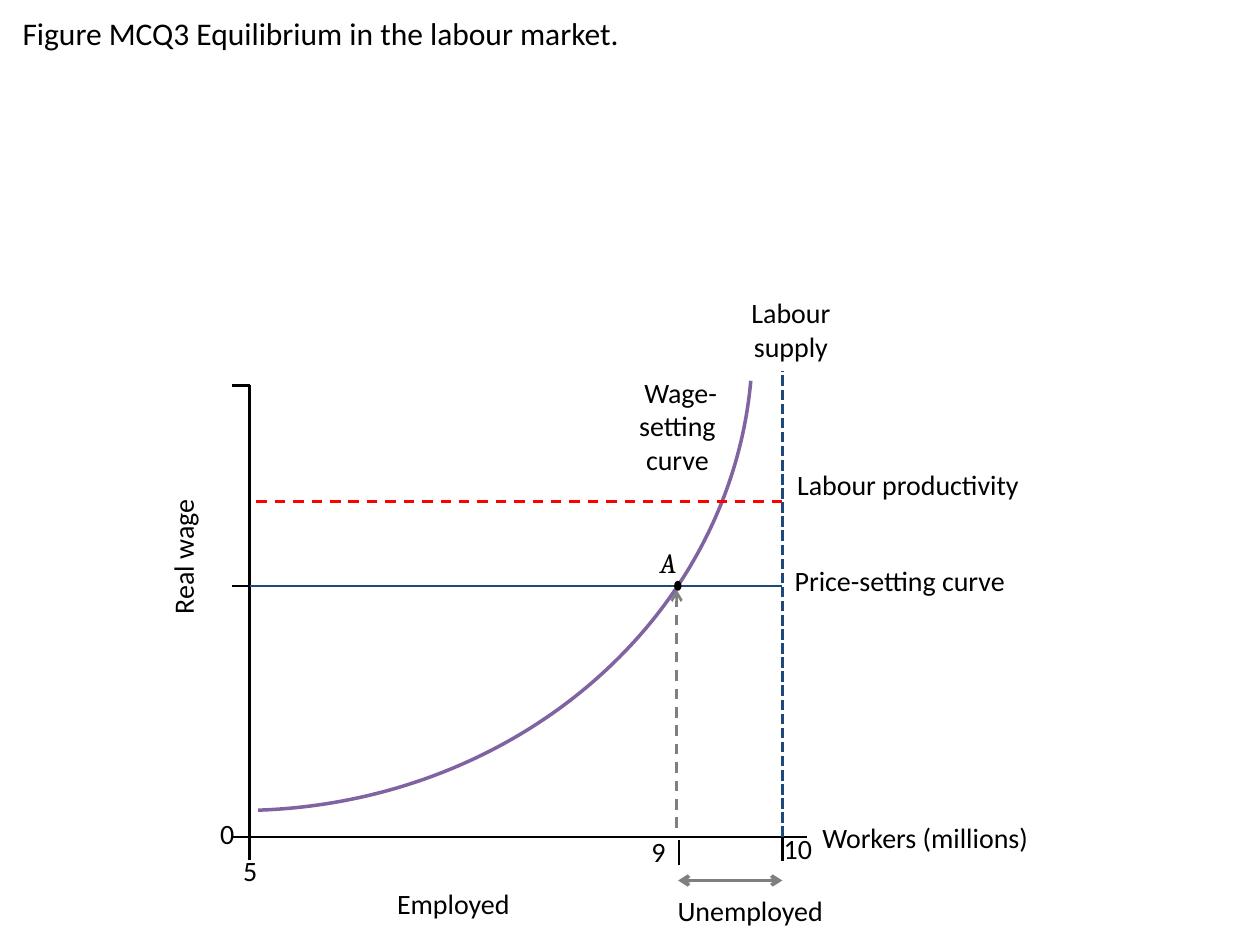
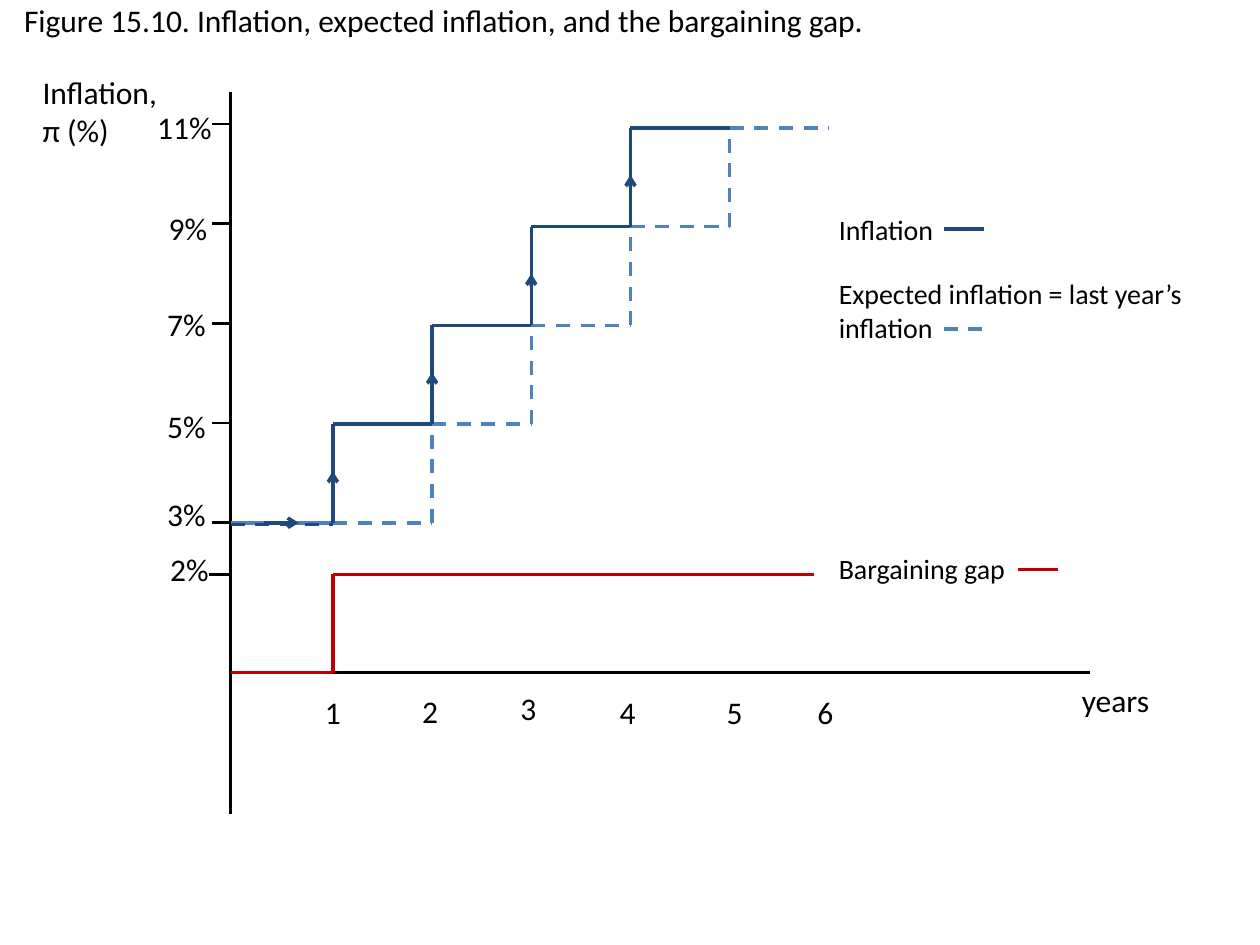
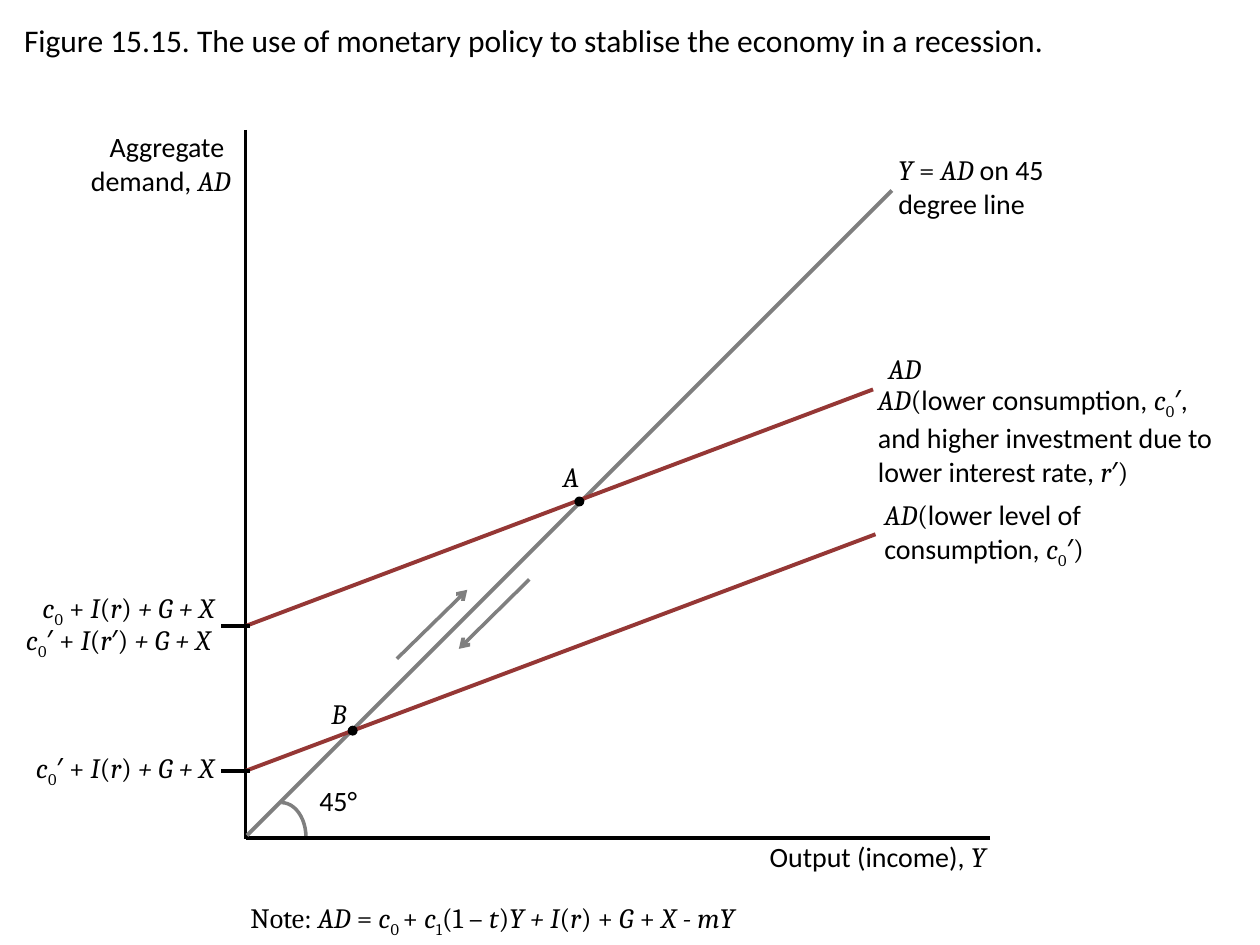
from dataclasses import dataclass

from lxml import etree
from pptx import Presentation
from pptx.dml.color import RGBColor
from pptx.enum.dml import MSO_LINE
from pptx.enum.shapes import MSO_CONNECTOR, MSO_SHAPE
from pptx.enum.text import MSO_ANCHOR, MSO_AUTO_SIZE, PP_ALIGN
from pptx.oxml.ns import qn
from pptx.util import Cm, Pt

LEFT, CENTER, RIGHT = PP_ALIGN.LEFT, PP_ALIGN.CENTER, PP_ALIGN.RIGHT
DASH, SQUARE_DASH = MSO_LINE.DASH, MSO_LINE.SQUARE_DOT
STRAIGHT = MSO_CONNECTOR.STRAIGHT
ARC, OVAL = MSO_SHAPE.ARC, MSO_SHAPE.OVAL
FIT_TEXT, TOP = MSO_AUTO_SIZE.SHAPE_TO_FIT_TEXT, MSO_ANCHOR.TOP
TEXT, UPRIGHT, MATH, SUB = "text", "upright", "math", "sub"


@dataclass(frozen=True)
class Theme:
    black: RGBColor = RGBColor(0x00, 0x00, 0x00)
    navy: RGBColor = RGBColor(0x1F, 0x49, 0x7D)
    blue: RGBColor = RGBColor(0x4F, 0x81, 0xBD)
    purple: RGBColor = RGBColor(0x80, 0x64, 0xA2)
    red: RGBColor = RGBColor(0xFF, 0x00, 0x00)
    crimson: RGBColor = RGBColor(0xC0, 0x00, 0x00)
    maroon: RGBColor = RGBColor(0x95, 0x37, 0x35)
    gray: RGBColor = RGBColor(0x7F, 0x7F, 0x7F)
    sans: str = "Calibri"
    serif: str = "Cambria"
    title: float = 18
    label: float = 16
    thin: float = 1.5
    medium: float = 2
    thick: float = 2.25


theme = Theme()


def write(page, left, top, width, height, paragraphs, align=LEFT, wrap=True, size=theme.label):
    box = page.shapes.add_textbox(Cm(left), Cm(top), Cm(width), Cm(height))
    frame = box.text_frame
    frame.word_wrap = wrap
    frame.auto_size = FIT_TEXT
    for index, spans in enumerate(paragraphs):
        para = frame.add_paragraph() if index else frame.paragraphs[0]
        para.alignment = align
        para.font.size = Pt(size)
        para.font.color.rgb = theme.black
        if isinstance(spans, str):
            spans = [(spans, TEXT)]
        for words, style in spans:
            span = para.add_run()
            span.text = words
            font = para.font if len(spans) == 1 else span.font
            font.name = theme.sans if style == TEXT else theme.serif
            font.italic = style == MATH
            if style == SUB:
                span._r.get_or_add_rPr().set("baseline", "-25000")
    return box


def draw_line(page, x1, y1, x2, y2, color=theme.black, width=theme.thin, dash=None, arrows=()):
    line = page.shapes.add_connector(STRAIGHT, Cm(x1), Cm(y1), Cm(x2), Cm(y2))
    line.line.color.rgb = color
    line.line.width = Pt(width)
    if dash:
        line.line.dash_style = dash
    properties = line._element.spPr
    for end in arrows:
        etree.SubElement(properties.find(qn("a:ln")), qn(f"a:{end}"), type="arrow")
    etree.SubElement(properties, qn("a:effectLst"))


deck = Presentation()
deck.slide_width, deck.slide_height = Cm(25.4), Cm(19.05)

pages = []
for heading, left, top, width in [
    ("Figure MCQ3 Equilibrium in the labour market.", 0.2, 0.15, 18.87),
    ("Figure 15.10. Inflation, expected inflation, and the bargaining gap.", 0.23, -0.1, 25.17),
    ("Figure 15.15. The use of monetary policy to stablise the economy in a recession.", 0.23, 0.3, 25.17),
]:
    page = deck.slides.add_slide(deck.slide_layouts[5])
    title = page.shapes.title
    title.left, title.top, title.width, title.height = Cm(left), Cm(top), Cm(width), Cm(1.02)
    title.text_frame.text = heading
    title.text_frame.auto_size = FIT_TEXT
    title.text_frame.vertical_anchor = TOP
    para = title.text_frame.paragraphs[0]
    para.alignment = LEFT
    para.font.name = theme.sans
    para.font.size = Pt(theme.title)
    para.font.color.rgb = theme.black
    pages.append(page)
labour, inflation, policy = pages

for page, left, top, width, height, color, angles in [
    (labour, -5.51, -2.51, 20.68, 18.85, theme.purple, (2.54, 52.63)),
    (policy, 5.18, 16.18, 0.99, 1.4, theme.gray, ()),
]:
    arc = page.shapes.add_shape(ARC, Cm(left), Cm(top), Cm(width), Cm(height))
    arc.shadow.inherit = False
    arc.fill.background()
    arc.line.color.rgb = color
    arc.line.width = Pt(theme.medium)
    for index, angle in enumerate(angles):
        arc.adjustments[index] = angle

axis_x, axis_y, wage_y, supply_x = 5.03, 16.87, 11.81, 15.77
draw_line(labour, 16.26, axis_y, axis_x, axis_y)
draw_line(labour, axis_x, 7.77, axis_x, axis_y)
for tick_y in (7.77, wage_y, axis_y):
    draw_line(labour, 4.68, tick_y, axis_x, tick_y)
for tick_x, tick_top in ((axis_x, 16.84), (13.69, 16.94), (supply_x, 16.87)):
    draw_line(labour, tick_x, tick_top, tick_x, tick_top + 0.49)
draw_line(labour, supply_x, axis_y, supply_x, 7.47, theme.navy, theme.medium, SQUARE_DASH)
draw_line(labour, 13.67, 17.75, supply_x, 17.75, theme.gray, theme.medium, arrows=("headEnd", "tailEnd"))
draw_line(labour, 13.64, 16.69, 13.64, 11.89, theme.gray, dash=DASH, arrows=("tailEnd",))
draw_line(labour, supply_x, wage_y, axis_x, wage_y, theme.navy)
draw_line(labour, supply_x, 10.11, axis_x, 10.11, theme.red, dash=DASH)

for words, left, top, width in [
    ("0", 4.19, 16.33, 0.53),
    ("Unemployed", 13.41, 17.88, 3.61),
    ("Price-setting curve", 15.77, 11.23, 4.95),
    ("Labour productivity", 15.82, 9.3, 5.46),
    ("Workers (millions)", 16.33, 16.41, 4.75),
]:
    write(labour, left, top, width, 0.94, [words])
for words, left, top, width in [
    ("Employed", 5.05, 17.75, 8.18),
    ("9", 12.73, 16.69, 1.09),
    ("10", 15.54, 16.64, 1.09),
    ("5", 4.5, 17.09, 1.09),
]:
    write(labour, left, top, width, 0.94, [words], CENTER)
write(labour, 14.88, 5.84, 2.13, 1.63, ["Labour", "supply"], CENTER, False)
write(labour, 12.27, 7.44, 2.9, 2.31, ["Wage-setting ", "curve "], CENTER)
wage_label = write(labour, -1.3, 10.69, 9.98, 0.94, ["Real wage "], CENTER)
wage_label.rotation = 270

axis_x, axis_y = 4.65, 13.56
start_x, year_step = 6.71, 2
start_y, level_step = 10.54, 1.99
gap_y = 11.58
draw_line(inflation, axis_x, 1.85, axis_x, 16.41)
draw_line(inflation, 21.97, axis_y, axis_x, axis_y)
draw_line(inflation, axis_x, start_y, start_x, start_y, theme.blue, theme.medium)
for year in range(5):
    x, y = start_x + year * year_step, start_y - year * level_step
    next_x, next_y = x + year_step, y - level_step
    draw_line(inflation, x, y, next_x, y, theme.blue, theme.medium, DASH)
    if year < 4:
        draw_line(inflation, next_x, y, next_x, next_y, theme.blue, theme.medium, DASH)
        draw_line(inflation, x, y, x, next_y, theme.navy, theme.medium)
        draw_line(inflation, x, next_y, next_x, next_y, theme.navy, theme.medium)
        draw_line(inflation, x, y - 0.45, x, y - 1.04, theme.navy, theme.medium, arrows=("tailEnd",))
draw_line(inflation, axis_x, start_y + 0.03, start_x, start_y + 0.03, theme.navy, theme.medium, DASH)
draw_line(inflation, 5.33, start_y, 6.02, start_y, theme.navy, theme.medium, arrows=("tailEnd",))

draw_line(inflation, axis_x, axis_y, start_x, axis_y, theme.crimson, theme.medium)
draw_line(inflation, start_x, gap_y, start_x, axis_y, theme.crimson, theme.medium)
draw_line(inflation, start_x, gap_y, 16.41, gap_y, theme.crimson, theme.medium)

for level in range(5):
    tick_y = start_y - level * 2.01
    draw_line(inflation, axis_x, tick_y, 4.28, tick_y)
draw_line(inflation, axis_x, gap_y, 4.22, gap_y)

for words, left, top, width in [
    ("2%", 3.18, 10.97, 1.3),
    ("3%", 3.12, 9.86, 1.3),
    ("5%", 3.12, 8.08, 1.3),
    ("7%", 3.12, 6.02, 1.3),
    ("9%", 3.15, 4.09, 1.3),
    ("11%", 2.92, 2.06, 1.63),
    ("1", 6.3, 13.84, 0.84),
    ("2", 8.26, 13.82, 0.84),
    ("3", 10.24, 13.77, 0.84),
    ("4", 12.24, 13.84, 0.84),
    ("5", 14.4, 13.84, 0.84),
    ("6", 16.23, 13.84, 0.84),
    ("years", 21.56, 13.61, 1.9),
]:
    write(inflation, left, top, width, 1.02, [words], wrap=False, size=theme.title)
write(inflation, 0.61, 1.35, 2.92, 1.8, ["Inflation, π (%)"], size=theme.title)

for words, top, width, key_x, key_y, color, dash in [
    (["Inflation"], 4.17, 2.44, 19.02, 4.62, theme.navy, None),
    (["Expected inflation = last year’s", "inflation"], 5.46, 7.54, 19.02, 6.63, theme.blue, DASH),
    (["Bargaining gap"], 11, 3.94, 20.52, 11.48, theme.crimson, None),
]:
    write(inflation, 16.66, top, width, 0.94 * len(words), words, wrap=False)
    draw_line(inflation, key_x, key_y, key_x + 0.81, key_y, color, theme.medium, dash)

axis_x, axis_y = 4.95, 16.89
draw_line(policy, axis_x, 2.62, axis_x, 16.92, width=theme.medium)
draw_line(policy, 19.96, axis_y, axis_x, axis_y, width=theme.medium)
draw_line(policy, 17.98, 3.84, 4.98, 16.84, theme.gray, theme.thick)
for end_x, end_y, intercept_y in ((17.6, 7.85, 12.62), (17.65, 10.77, 15.54)):
    draw_line(policy, end_x, end_y, axis_x, intercept_y, theme.maroon, theme.thick)
    draw_line(policy, 5.03, intercept_y, 4.45, intercept_y, width=theme.medium)
draw_line(policy, 10.67, 11.68, 9.25, 13.08, theme.gray, theme.medium, arrows=("tailEnd",))
draw_line(policy, 9.42, 11.89, 8, 13.28, theme.gray, theme.medium, arrows=("headEnd",))

for page, name, left, top, width, dot_x, dot_y, dot_width in [
    (labour, "A", 13.06, 10.87, 0.84, 13.59, 11.71, 0.15),
    (policy, "A", 11.1, 9.14, 1.02, 11.58, 10.01, 0.2),
    (policy, "B", 6.43, 13.92, 1.02, 7.01, 14.63, 0.2),
]:
    write(page, left, top, width, 0.94, [[(name, MATH)]])
    dot = page.shapes.add_shape(OVAL, Cm(dot_x), Cm(dot_y), Cm(dot_width), Cm(0.2))
    dot.shadow.inherit = False
    dot.fill.solid()
    dot.fill.fore_color.rgb = theme.black
    dot.line.fill.background()

prime = ("′", TEXT)
consumption = [("c", MATH), ("0", SUB)]
lower_consumption = consumption + [prime]
investment = [("I", MATH), ("(", UPRIGHT), ("r", MATH)]
plus, close = (" + ", UPRIGHT), (")", UPRIGHT)
spending = [close, (" + G + X", MATH)]

write(policy, -0.1, 2.49, 5, 1.63, ["Aggregate ", [("demand, ", TEXT), ("AD", MATH)]], RIGHT)
write(policy, 14.4, 16.79, 5.72, 0.94, [[("Output (income), ", TEXT), ("Y", MATH)]], RIGHT)
write(policy, 6.15, 15.67, 1.3, 0.94, ["45°"], RIGHT, False)
for top, width, spans in [
    (11.79, 4.57, consumption + [plus] + investment + spending),
    (12.42, 4.5, lower_consumption + [plus] + investment + [prime] + spending),
    (15.01, 4.57, lower_consumption + [plus] + investment + spending),
]:
    write(policy, 0, top, width, 0.94, [spans], RIGHT)

write(policy, 17.86, 2.95, 4.95, 1.63, [
    [("Y", MATH), (" = ", UPRIGHT), ("AD ", MATH), ("on 45", TEXT)],
    "degree line",
])
write(policy, 17.37, 6.96, 1.45, 0.94, [[("AD", MATH)]], RIGHT, False)
write(policy, 17.45, 7.59, 7.62, 2.77, [
    [("AD", MATH), ("(", UPRIGHT), ("lower consumption, ", TEXT), *consumption, ("′,", TEXT)],
    [("and higher investment due to lower interest rate, ", TEXT), ("r", MATH), prime, close],
])
write(policy, 17.58, 9.91, 5.51, 2.08, [
    [("AD", MATH), ("(", UPRIGHT), ("lower level of", TEXT)],
    [("consumption, ", TEXT), *lower_consumption, close],
])
write(policy, 4.8, 18.03, 12.75, 0.94, [[
    ("Note:", UPRIGHT), (" AD ", MATH), ("= ", UPRIGHT), ("c", MATH), ("0 ", SUB), ("+ ", UPRIGHT),
    ("c", MATH), ("1", SUB), ("(1 – ", UPRIGHT), ("t", MATH), close, ("Y + ", MATH), *investment,
    (") + ", UPRIGHT), ("G", MATH), plus, ("X - mY", MATH),
]])

deck.save("out.pptx")
